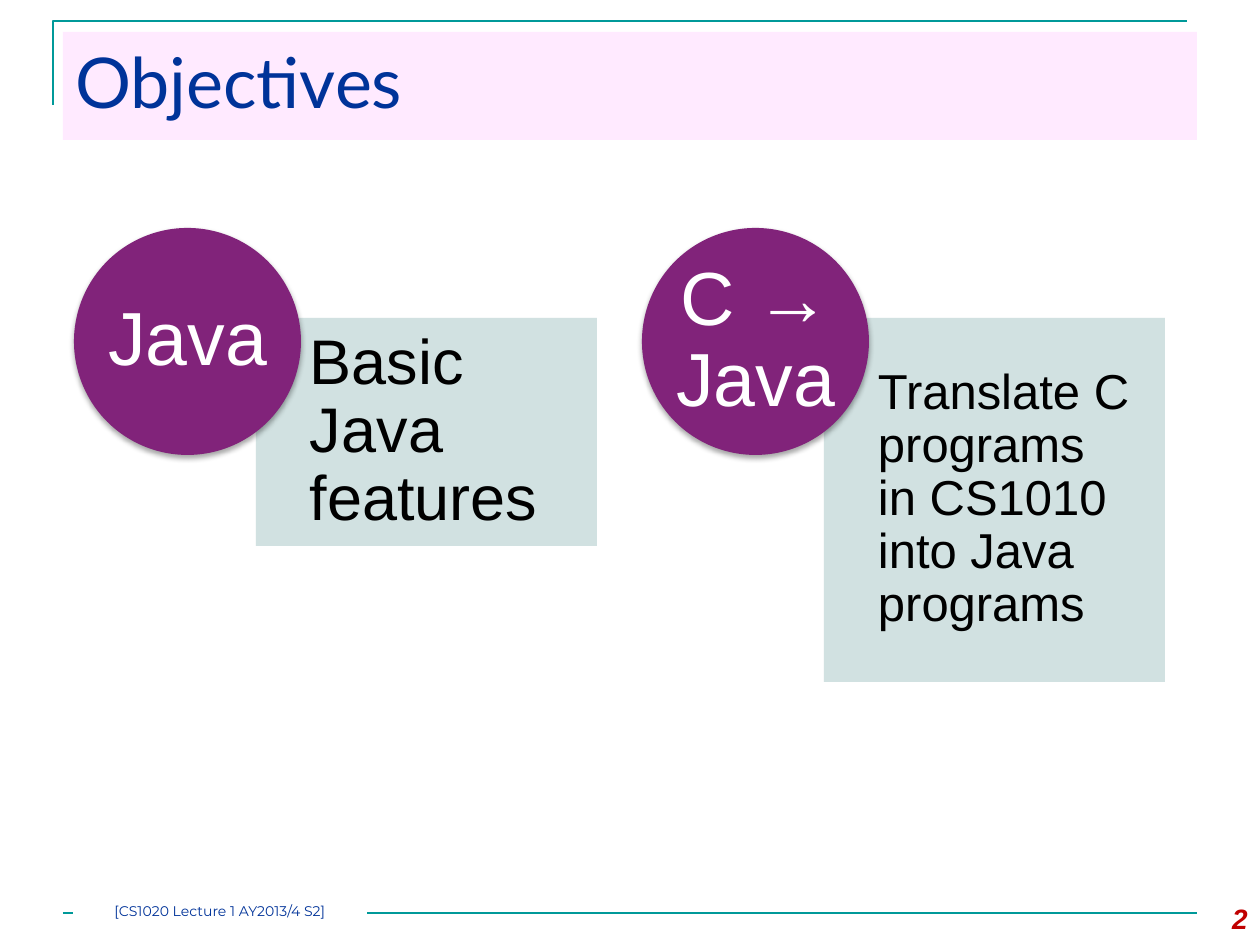
from dataclasses import dataclass
from lxml.etree import SubElement
from pptx import Presentation
from pptx.dml.color import RGBColor
from pptx.enum.shapes import MSO_CONNECTOR, MSO_SHAPE
from pptx.enum.text import MSO_ANCHOR, PP_ALIGN
from pptx.oxml.ns import qn
from pptx.util import Pt

PX = 914400 // 126  # EMU in one px


@dataclass(frozen=True)
class Theme:
    teal: str = "009999"
    navy: str = "003399"
    pink: str = "FFCCFF"
    red: str = "C00000"
    purple: str = "81237A"
    mint: str = "CCDEDE"
    white: str = "FFFFFF"
    black: str = "000000"
    title_font: str = "Lato"
    body_font: str = "Arial"
    footer_font: str = "Montserrat"
    title_size: int = 40
    circle_size: int = 43
    footer_size: int = 8
    number_size: int = 16
    rule: float = 1.5


T = Theme()

# Content
TITLE = "Objectives"
FOOTER = "[CS1020 Lecture 1 AY2013/4 S2]"
NUMBER = "2"
# circle label, description, description size, panel height, text inset
OBJECTIVES = [
    ("Java", "Basic Java features", 36, 228, 35),
    ("C → Java", "Translate C programs in CS1010 into Java programs", 28, 364, 28),
]

# Layout
LEFT, TOP, STEP = 74, 228, 568
CIRCLE, LABEL = 227, 161
PANEL_DX, PANEL_DY, PANEL_W = 182, 90, 341
TEXT_DX, TEXT_W = 236, 286


def emu(*lengths):
    return [n * PX for n in lengths]


def rgb(color):
    return RGBColor.from_string(color)


def add_block(s, kind, box, color, alpha=None):
    sp = s.shapes.add_shape(kind, *emu(*box))
    sp.shadow.inherit = False
    sp.fill.solid()
    sp.fill.fore_color.rgb = rgb(color)
    sp.line.fill.background()
    if alpha:
        clr = sp.fill._xPr.find(".//" + qn("a:srgbClr"))
        SubElement(clr, qn("a:alpha"), val=str(alpha * 1000))
    return sp


def add_shadow(sp):
    effects = sp._element.spPr.find(qn("a:effectLst"))
    shadow = SubElement(effects, qn("a:outerShdw"), blurRad=str(Pt(3.1)), dist=str(Pt(1.8)),
                        dir="5400000", rotWithShape="0")
    clr = SubElement(shadow, qn("a:srgbClr"), val=T.black)
    SubElement(clr, qn("a:alpha"), val="35000")


def write(sp, text, font, size, color, align=PP_ALIGN.LEFT, anchor=MSO_ANCHOR.TOP,
          insets=None, spacing=None):
    tf = sp.text_frame
    tf.word_wrap = True
    tf.vertical_anchor = anchor
    if insets:
        tf.margin_left, tf.margin_top, tf.margin_right, tf.margin_bottom = emu(*insets)
    tf.text = text
    p = tf.paragraphs[0]
    p.alignment = align
    if spacing:
        p.line_spacing = spacing
    f = p.runs[0].font
    f.name, f.size, f.color.rgb = font, Pt(size), rgb(color)
    return f


def add_text(s, box, *args, **kwargs):
    return write(s.shapes.add_textbox(*emu(*box)), *args, **kwargs)


def add_frame(s):
    # Corner rule above the title
    fb = s.shapes.build_freeform(53, 105, scale=PX)
    fb.add_line_segments([(53, 21), (1187, 21)], close=False)
    corner = fb.convert_to_shape()
    corner.shadow.inherit = False
    corner.fill.background()
    # Footer rule
    rule = s.shapes.add_connector(MSO_CONNECTOR.STRAIGHT, *emu(63, 913, 1197, 913))
    SubElement(rule._element.spPr, qn("a:effectLst"))
    for sp in (corner, rule):
        sp.line.color.rgb = rgb(T.teal)
        sp.line.width = Pt(T.rule)
    # Title, footer and slide number
    title = add_block(s, MSO_SHAPE.RECTANGLE, (63, 32, 1134, 108), T.pink, 40)
    write(title, TITLE, T.title_font, T.title_size, T.navy)
    footer = add_block(s, MSO_SHAPE.RECTANGLE, (73, 903, 294, 22), T.white)
    write(footer, FOOTER, T.footer_font, T.footer_size, T.navy, PP_ALIGN.CENTER,
          insets=(0, 0, 0, 0))
    f = add_text(s, (1176, 895, 84, 50), NUMBER, T.body_font, T.number_size, T.red,
                 PP_ALIGN.RIGHT)
    f.bold = f.italic = True


def add_objective(s, x, label, text, size, height, inset):
    y = TOP + PANEL_DY
    add_block(s, MSO_SHAPE.RECTANGLE, (x + PANEL_DX, y, PANEL_W, height), T.mint, 90)
    add_text(s, (x + TEXT_DX, y, TEXT_W, height), text, T.body_font, size, T.black,
             anchor=MSO_ANCHOR.MIDDLE, insets=(0, inset, inset, inset), spacing=0.9)
    add_shadow(add_block(s, MSO_SHAPE.OVAL, (x, TOP, CIRCLE, CIRCLE), T.purple))
    pad = (CIRCLE - LABEL) // 2
    add_text(s, (x + pad, TOP + pad, LABEL, LABEL), label, T.body_font, T.circle_size,
             T.white, PP_ALIGN.CENTER, MSO_ANCHOR.MIDDLE, (0, 0, 0, 0), 0.9)


def main():
    prs = Presentation()
    prs.slide_width, prs.slide_height = emu(1260, 945)
    s = prs.slides.add_slide(prs.slide_layouts[6])
    add_frame(s)
    for i, objective in enumerate(OBJECTIVES):
        add_objective(s, LEFT + i * STEP, *objective)
    prs.save("out.pptx")


if __name__ == "__main__":
    main()
